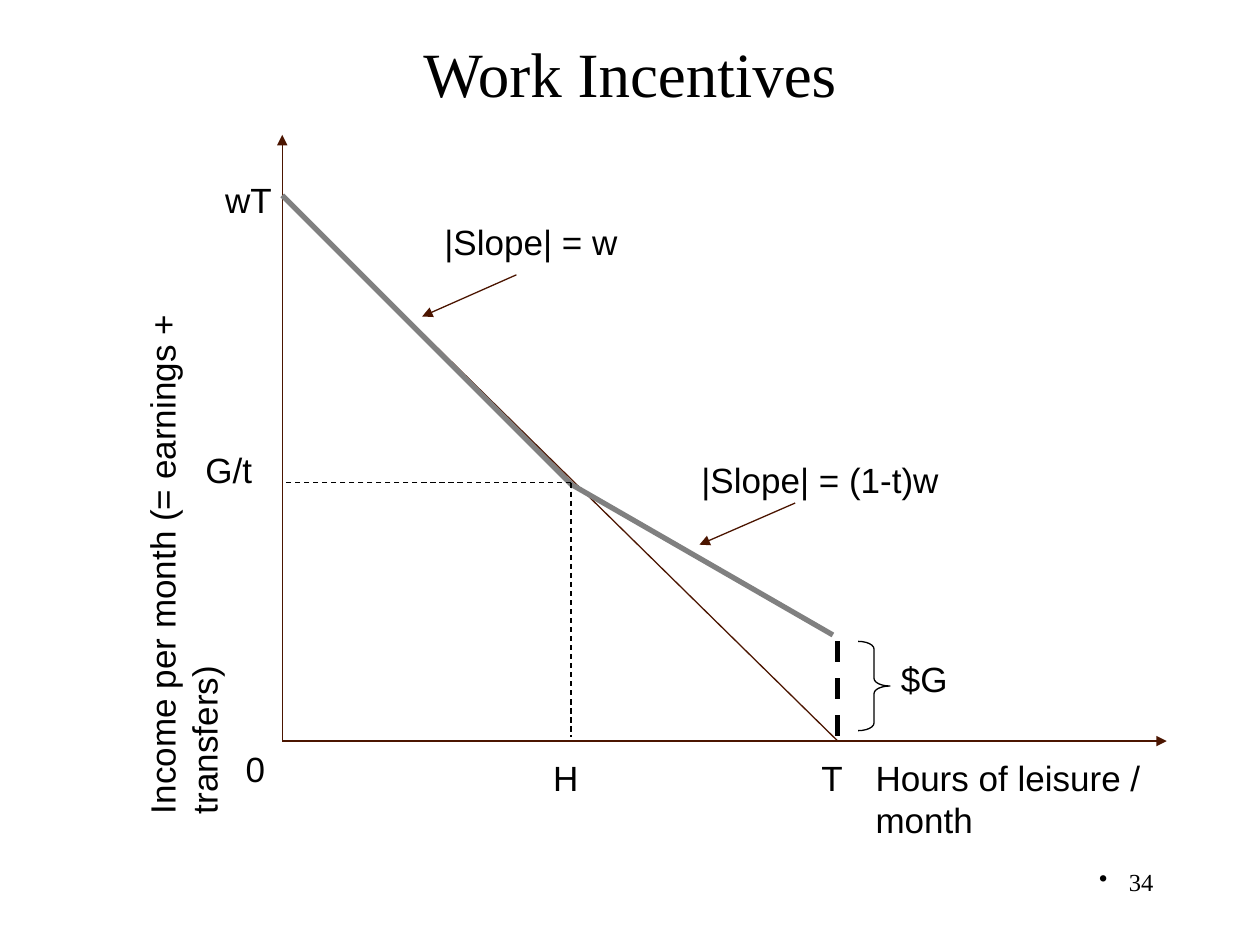
from pptx import Presentation
from pptx import util as u
from pptx.dml import color, line as dml_line
from pptx.enum import dml, shapes, text
from pptx.oxml import ns
from lxml import etree

COLORS = {"ink": "000000", "axis": "4B1500", "budget": "808080"}
LABEL_HEIGHT = 1.1


def rgb(name):
    return color.RGBColor.from_string(COLORS[name])


def add_run(p, words, size, font):
    r = p.add_run()
    r.text = words
    r.font.size = u.Pt(size)
    r.font.name = font
    r.font.color.rgb = rgb("ink")


def add_line(s, box, points, ink="axis", width=0.75, dashed=False, arrow=False):
    left, top = box[:2]
    x1, y1, x2, y2 = points
    sp = s.shapes.add_connector(
        shapes.MSO_CONNECTOR.STRAIGHT,
        u.Cm(left + x1), u.Cm(top + y1), u.Cm(left + x2), u.Cm(top + y2))
    sp.line.color.rgb = rgb(ink)
    sp.line.width = u.Pt(width)
    if dashed:
        sp.line.dash_style = dml.MSO_LINE.DASH
    if arrow:
        etree.SubElement(sp.line._get_or_add_ln(), ns.qn("a:tailEnd"), type="triangle")
    etree.SubElement(sp._element.spPr, ns.qn("a:effectLst"))


def add_label(s, box, words, x, y, width, wrap=False, rotation=0):
    left, top = box[:2]
    sp = s.shapes.add_textbox(
        u.Cm(left + x), u.Cm(top + y), u.Cm(width), u.Cm(LABEL_HEIGHT))
    sp.rotation = rotation
    tf = sp.text_frame
    tf.word_wrap = wrap
    add_run(tf.paragraphs[0], words, 20, "Arial")


def add_title(s, box):
    sp = s.shapes.title
    sp.left, sp.top, sp.width, sp.height = map(u.Cm, box)
    tf = sp.text_frame
    tf.vertical_anchor = text.MSO_ANCHOR.TOP
    tf.margin_top = 0
    p = tf.paragraphs[0]
    p.alignment = text.PP_ALIGN.CENTER
    add_run(p, "Work Incentives", 36, "Times New Roman")


def add_axes(s, box):
    width, height = box[2:]
    add_line(s, box, (0, height, 0, 0), arrow=True)
    add_line(s, box, (0, height, width, height), arrow=True)
    add_label(s, box, "Hours of leisure / month", 11.71, 12.4, 7.7, wrap=True)
    add_label(s, box, "Income per month (= earnings + transfers)",
              -9.16, 6.66, 13.46, wrap=True, rotation=270)


def add_budget_lines(s, box):
    height = box[3]
    wage_y, kink_x, kink_y, end_x, grant_y = 1.22, 5.82, 7.01, 11.2, 10.21
    add_line(s, box, (end_x, height, 0, wage_y))
    add_line(s, box, (0, wage_y, 5.87, 7.09), "budget", 3)
    add_line(s, box, (5.87, 7.07, 11.1, 10.08), "budget", 3)
    add_line(s, box, (end_x, grant_y, end_x, height), "ink", 3, dashed=True)
    add_line(s, box, (kink_x, kink_y, kink_x, 12.14), "ink", dashed=True)
    add_line(s, box, (kink_x, kink_y, 0, kink_y), "ink", dashed=True)

    for pointer in ((4.72, 2.82, 2.82, 3.66), (10.34, 7.42, 8.41, 8.26)):
        add_line(s, box, pointer, arrow=True)

    brace = s.shapes.add_shape(
        shapes.MSO_SHAPE.RIGHT_BRACE, u.Cm(box[0] + 11.61),
        u.Cm(box[1] + grant_y), u.Cm(0.64), u.Cm(1.8))
    brace.adjustments[0] = 0.24
    brace.shadow.inherit = False
    brace.fill.background()
    brace.line.color.rgb = rgb("ink")
    brace.line.width = u.Pt(0.75)

    for words, x, y, width in (
        ("wT", -1.4, 0.76, 1.47),
        ("G/t", -1.8, 6.2, 1.45),
        ("0", -0.99, 12.22, 0.91),
        ("H", 5.21, 12.4, 1.04),
        ("T", 10.62, 12.4, 0.94),
        ("$G", 12.22, 10.41, 1.47),
        ("|Slope| = w", 3.02, 1.6, 4.06),
        ("|Slope| = (1-t)w", 8.2, 6.4, 5.33),
    ):
        add_label(s, box, words, x, y, width)


def add_page_number(s, box):
    tf = s.shapes.add_textbox(*map(u.Cm, box)).text_frame
    tf.word_wrap = True
    p = tf.paragraphs[0]
    p.alignment = text.PP_ALIGN.RIGHT
    pPr = p._p.get_or_add_pPr()
    pPr.set("marL", str(u.Cm(0.6)))
    pPr.set("indent", str(-u.Cm(0.6)))
    etree.SubElement(pPr, ns.qn("a:buChar"), char="•")
    add_run(p, "34", 14, "Times New Roman")


def main():
    prs = Presentation()
    prs.slide_width, prs.slide_height = u.Cm(25.4), u.Cm(19.05)
    s = prs.slides.add_slide(prs.slide_layouts[5])
    graph = (5.69, 2.72, 17.83, 12.22)
    add_title(s, (1.9, 0.7, 21.6, 2.6))
    add_axes(s, graph)
    add_budget_lines(s, graph)
    add_page_number(s, (18.2, 17.35, 5.3, 1.27))
    prs.save("out.pptx")


if __name__ == "__main__":
    main()
